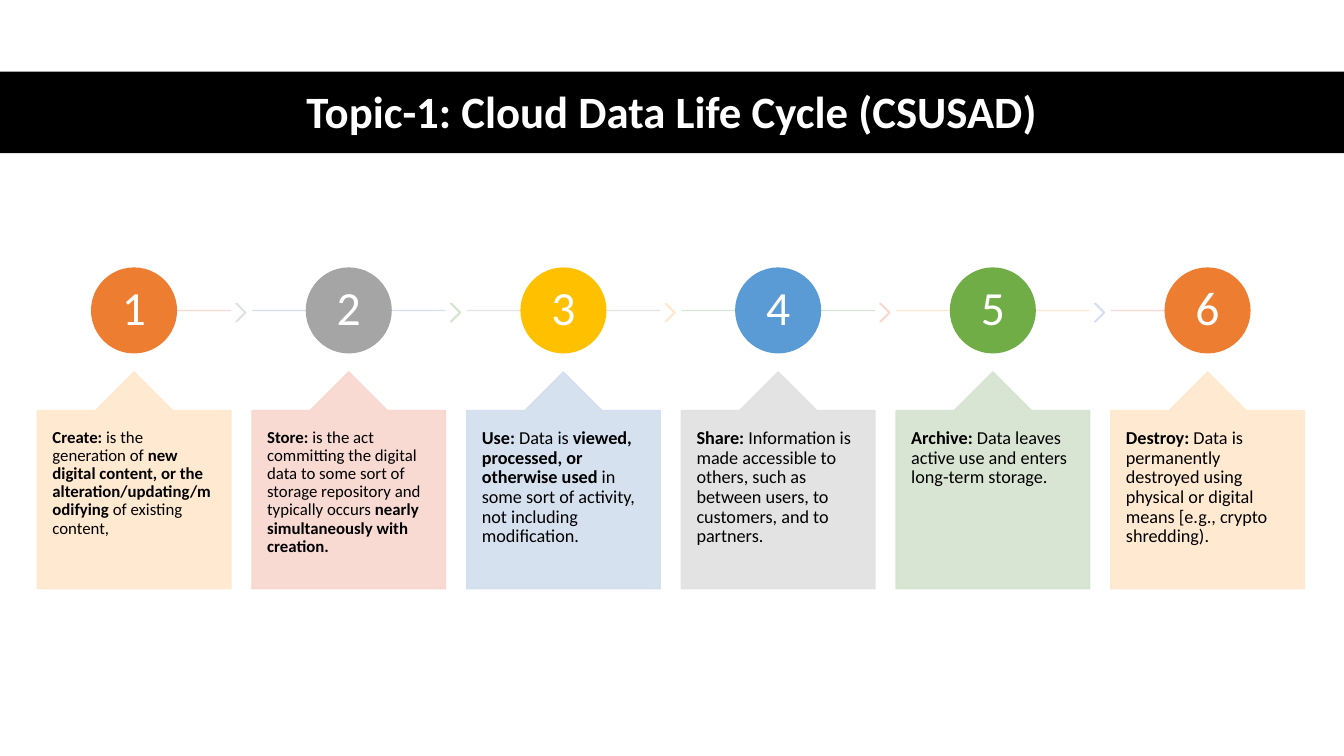
import pptx
import pptx.util
import pptx.dml.color
import pptx.enum.shapes
import pptx.enum.text
from lxml import etree

Pt = pptx.util.Pt
SHAPE = pptx.enum.shapes.MSO_SHAPE
ALIGN = pptx.enum.text.PP_ALIGN
ANCHOR = pptx.enum.text.MSO_ANCHOR

# Content: the text of each stage alternates bold and regular, bold first
TITLE = "Topic-1: Cloud Data Life Cycle (CSUSAD)"
STAGES = [
    (12, ["Create:", " is the generation of ",
          "new digital content, or the alteration/updating/modifying ",
          "of existing content,"]),
    (12, ["Store:", " is the act committing the digital data to some sort of "
          "storage repository and typically occurs ",
          "nearly simultaneously with creation."]),
    (13, ["Use:", " Data is ", "viewed, processed, or otherwise used",
          " in some sort of activity, not including modification."]),
    (13, ["Share:", " Information is made accessible to others, such as "
          "between users, to customers, and to partners."]),
    (13, ["Archive:", " Data leaves active use and enters long-term storage."]),
    (13, ["Destroy:", " Data is permanently destroyed using physical or "
          "digital means [e.g., crypto shredding)."]),
]

THEME = {
    "font": "Calibri", "title": 32, "number": 34,
    "dark": "000000", "light": "FFFFFF",
    "discs": ["ED7D31", "A5A5A5", "FFC000", "5B9BD5", "70AD47"],
    "tints": ["FFE8CC", "F8D7CE", "D2DEEF", "E1E1E1", "D5E3CF"],
    "alpha": 90, "line": 1,
}

# Layout, in points
WIDE, HIGH = 960, 540
LEFT, STEP, CARD = 26.64, 153.36, 138.24
CARD_TOP, CARD_HIGH = 265.68, 154.8
DISC, DISC_TOP = 60.48, 191.52
RAIL = DISC_TOP + DISC / 2
TIP_GAP, TIP_WIDE, TIP_HIGH = 3.6, 7.2, 12.96

DRAW = "{http://schemas.openxmlformats.org/drawingml/2006/main}"


def rgb(code):
    return pptx.dml.color.RGBColor.from_string(code)


def fade(item):
    """Make every colour of a shape or connector slightly transparent."""
    props = item._element.spPr
    for color in props.iter(DRAW + "srgbClr"):
        alpha = etree.SubElement(color, DRAW + "alpha")
        alpha.set("val", str(THEME["alpha"] * 1000))


def add_form(kind, left, top, width, height, color, adjust=(), soft=False,
             edge=True):
    form = slide.shapes.add_shape(kind, Pt(left), Pt(top), Pt(width), Pt(height))
    form.shadow.inherit = False
    for index, value in enumerate(adjust):
        form.adjustments[index] = value
    form.fill.solid()
    form.fill.fore_color.rgb = rgb(color)
    if edge:
        form.line.color.rgb = rgb(color)
        form.line.width = Pt(THEME["line"])
    else:
        form.line.fill.background()
    if soft:
        fade(form)
    return form


def add_rail(start, end, color):
    rail = slide.shapes.add_connector(
        pptx.enum.shapes.MSO_CONNECTOR.STRAIGHT,
        Pt(start), Pt(RAIL), Pt(end), Pt(RAIL))
    rail.line.color.rgb = rgb(color)
    rail.line.width = Pt(THEME["line"])
    etree.SubElement(rail._element.spPr, DRAW + "effectLst")
    fade(rail)


def write(form, parts, size, color, bold=(False,), align=ALIGN.LEFT,
          anchor=ANCHOR.TOP, inset=(7.2, 3.6)):
    frame = form.text_frame
    frame.word_wrap = True
    frame.vertical_anchor = anchor
    frame.margin_left = frame.margin_right = Pt(inset[0])
    frame.margin_top = frame.margin_bottom = Pt(inset[1])
    para = frame.paragraphs[0]
    para.alignment = align
    para.line_spacing = 0.9
    for index, part in enumerate(parts):
        run = para.add_run()
        run.text = part
        run.font.name = THEME["font"]
        run.font.size = Pt(size)
        run.font.bold = bold[index % len(bold)]
        run.font.color.rgb = rgb(color)


deck = pptx.Presentation()
deck.slide_width, deck.slide_height = Pt(WIDE), Pt(HIGH)
slide = deck.slides.add_slide(deck.slide_layouts[6])

# Title band
add_form(SHAPE.RECTANGLE, 0, 51.12, WIDE, 58.32, THEME["dark"], edge=False)
title = slide.shapes.add_textbox(Pt(66), Pt(53.28), Pt(828), Pt(56.16))
write(title, [TITLE], THEME["title"], THEME["light"], bold=(True,),
      align=ALIGN.CENTER, anchor=ANCHOR.MIDDLE)

# Stages: rail, chevron, numbered disc and callout
discs, tints = THEME["discs"], THEME["tints"]
last = len(STAGES) - 1
for index, (size, parts) in enumerate(STAGES):
    left = LEFT + index * STEP
    middle, right = left + CARD / 2, left + CARD
    card_tint, rail_tint, tip_tint = (
        tints[(index + shift) % len(tints)] for shift in (0, 1, 3))

    add_rail(middle if index == 0 else left,
             middle if index == last else right, rail_tint)
    if index < last:
        add_form(SHAPE.CHEVRON, right + TIP_GAP, RAIL + 1.5 - TIP_HIGH / 2,
                 TIP_WIDE, TIP_HIGH, tip_tint, adjust=(0.9,), soft=True)

    disc = add_form(SHAPE.OVAL, middle - DISC / 2, DISC_TOP, DISC, DISC,
                    discs[index % len(discs)])
    write(disc, [str(index + 1)], THEME["number"], THEME["light"],
          align=ALIGN.CENTER, anchor=ANCHOR.MIDDLE, inset=(2.16, 2.16))

    card = add_form(SHAPE.UP_ARROW_CALLOUT, left, CARD_TOP, CARD, CARD_HIGH,
                    card_tint, adjust=(0.5, 0.2, 0.2, 1), soft=True)
    write(card, parts, size, THEME["dark"], bold=(True, False),
          inset=(10.8, 12.96))

deck.save("out.pptx")
